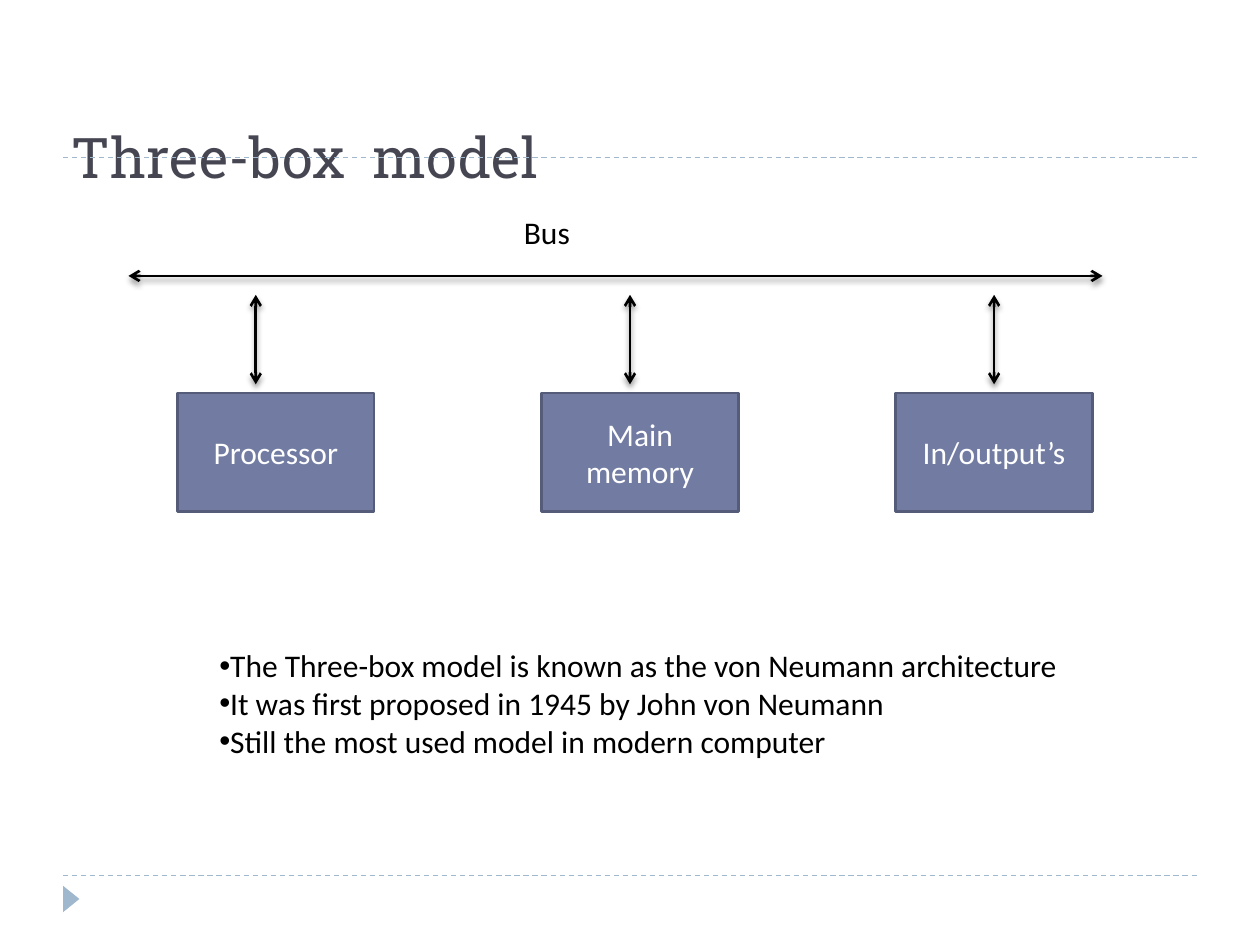
from dataclasses import dataclass
from pptx import Presentation
from pptx.dml.color import RGBColor as RGB
from pptx.enum.dml import MSO_LINE as Dash
from pptx.enum.shapes import MSO_CONNECTOR as Conn, MSO_SHAPE as Kind
from pptx.enum.text import MSO_ANCHOR as Anchor, MSO_AUTO_SIZE as Auto, PP_ALIGN as Align
from pptx.oxml import parse_xml
from pptx.oxml.ns import nsdecls
from pptx.util import Inches, Pt


@dataclass(frozen=True)
class Theme:
    """Colours, fonts and type sizes."""
    head: str = "464653"
    ink: str = "000000"
    light: str = "FFFFFF"
    fill: str = "727CA3"
    edge: str = "545C79"
    trim: str = "9FB8CD"
    serif: str = "Roboto Slab"
    sans: str = "Calibri"
    big: int = 32
    text: int = 18


def node(tag, inner="", **attrs):
    """Make one drawing element."""
    pairs = " ".join(f'{key}="{val}"' for key, val in attrs.items())
    return parse_xml(f'<a:{tag} {nsdecls("a")} {pairs}>{inner}</a:{tag}>')


SHADOW = (f'<a:outerShdw blurRad="{Pt(3)}" dist="{Pt(2)}" dir="5400000" rotWithShape="0">'
          '<a:srgbClr val="000000"><a:alpha val="40000"/></a:srgbClr></a:outerShdw>')


class Page:
    """Draws elements on one slide in one style."""

    def __init__(self, slide, theme):
        """Keep the slide and the theme."""
        self.slide, self.theme = slide, theme
        self.shapes = slide.shapes

    def words(self, shape, text, color, size=None, font=None, align=Align.LEFT):
        """Fill a shape with text and format its runs."""
        frame = shape.text_frame
        frame.text = text
        for para in frame.paragraphs:
            para.alignment = align
            para.line_spacing = 1.0
            para.space_before = para.space_after = Pt(0)
            for run in para.runs:
                run.font.name = font or self.theme.sans
                run.font.size = Pt(size or self.theme.text)
                run.font.color.rgb = RGB.from_string(color)
        return frame

    def place(self, shape, left, top, width, height):
        """Move and size a placeholder."""
        shape.left, shape.top = Inches(left), Inches(top)
        shape.width, shape.height = Inches(width), Inches(height)

    def title(self, text, *spot):
        """Set the slide title."""
        shape = self.shapes.title
        self.place(shape, *spot)
        frame = self.words(shape, text, self.theme.head, self.theme.big, self.theme.serif)
        frame.vertical_anchor = Anchor.BOTTOM
        frame.auto_size = Auto.NONE

    def bullets(self, items, *spot):
        """Set the bullet list."""
        shape = self.slide.placeholders[1]
        self.place(shape, *spot)
        frame = self.words(shape, "\n".join(items), self.theme.ink)
        frame.vertical_anchor = Anchor.TOP
        frame.auto_size = Auto.NONE
        for para in frame.paragraphs:
            props = para._p.get_or_add_pPr()
            props.set("marL", "0")
            props.set("indent", "0")
            props.append(node("buFont", typeface="Arial"))
            props.append(node("buChar", char="•"))

    def label(self, text, *spot):
        """Add a text box on one line."""
        shape = self.shapes.add_textbox(*map(Inches, spot))
        self.words(shape, text, self.theme.ink).word_wrap = False

    def shape(self, kind, fill, *spot):
        """Add a plain filled shape."""
        shape = self.shapes.add_shape(kind, *map(Inches, spot))
        shape.shadow.inherit = False
        shape.fill.solid()
        shape.fill.fore_color.rgb = RGB.from_string(fill)
        shape.line.fill.background()
        return shape

    def box(self, text, *spot):
        """Add a box with centred text."""
        shape = self.shape(Kind.RECTANGLE, self.theme.fill, *spot)
        shape.line.color.rgb = RGB.from_string(self.theme.edge)
        shape.line.width = Pt(1.5)
        frame = self.words(shape, text, self.theme.light, align=Align.CENTER)
        frame.vertical_anchor = Anchor.MIDDLE

    def line(self, color, width, *ends, shade=""):
        """Add a straight line."""
        line = self.shapes.add_connector(Conn.STRAIGHT, *map(Inches, ends))
        line.line.color.rgb = RGB.from_string(color)
        line.line.width = Pt(width)
        line._element.spPr.append(node("effectLst", shade))
        return line.line

    def rule(self, top):
        """Add a dashed rule across the slide."""
        self.line(self.theme.trim, 0.75, 0.5, top, 9.5, top).dash_style = Dash.DASH

    def arrow(self, *ends):
        """Add a shadowed arrow with two heads."""
        line = self.line(self.theme.ink, 1.5, *ends, shade=SHADOW)
        for end in ("headEnd", "tailEnd"):
            line._ln.append(node(end, type="arrow"))


def main():
    """Build the slide and save it."""
    deck = Presentation()
    deck.slide_width, deck.slide_height = Inches(10), Inches(7.5)
    theme = Theme()
    page = Page(deck.slides.add_slide(deck.slide_layouts[1]), theme)

    for top in (6.95, 1.25):
        page.rule(top)
    mark = page.shape(Kind.ISOSCELES_TRIANGLE, theme.trim, 0.46, 7.07, 0.21, 0.13)
    mark.rotation = 90
    page.title("Three-box  model", 0.47, 0.31, 9, 1.25)

    page.label("Bus", 4.06, 1.64, 0.57, 0.4)
    page.arrow(1.02, 2.19, 8.75, 2.19)
    parts = (("Processor", 1.41, 2.03), ("Main\nmemory", 4.3, 5), ("In/output’s", 7.11, 7.89))
    for name, left, mid in parts:
        page.box(name, left, 3.12, 1.56, 0.94)
        page.arrow(mid, 2.34, mid, 3.05)

    page.bullets(("The Three-box model is known as the von Neumann architecture",
                  "It was first proposed in 1945 by John von Neumann",
                  "Still the most used model in modern computer"), 1.64, 5.08, 6.88, 1.31)
    deck.save("out.pptx")


main()
